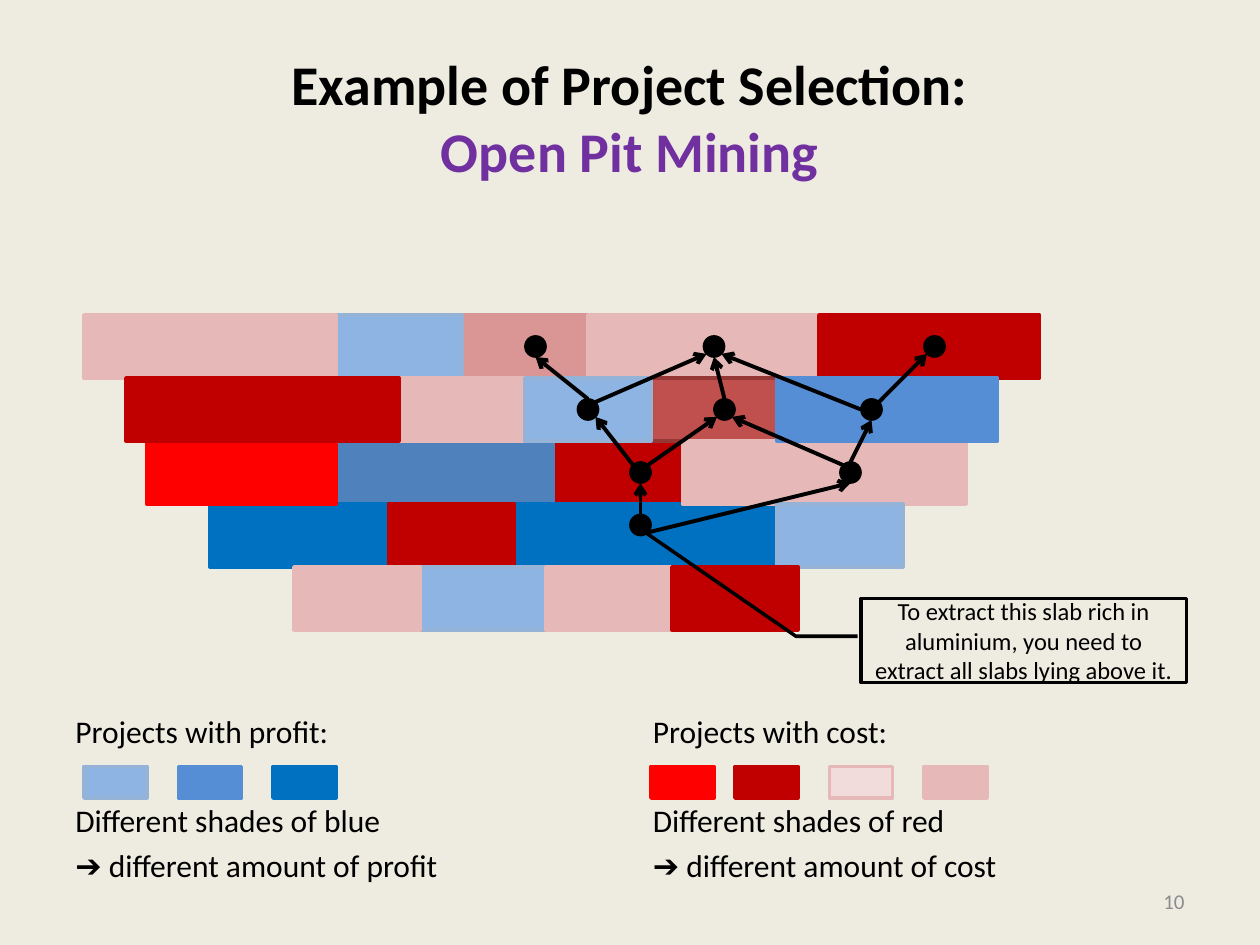
import math
from dataclasses import dataclass

import lxml.etree
import pptx
import pptx.dml.color
import pptx.enum.shapes
import pptx.enum.text
import pptx.oxml.ns
import pptx.util

Pt = pptx.util.Pt
Shape = pptx.enum.shapes.MSO_SHAPE
Align = pptx.enum.text.PP_ALIGN
Anchor = pptx.enum.text.MSO_ANCHOR


@dataclass(frozen=True)
class Theme:
    font: str = "Calibri"
    background: str = "EEECE1"
    ink: str = "000000"
    accent: str = "7030A0"
    muted: str = "8C8C8C"
    title_size: int = 32
    body_size: int = 18
    note_size: int = 14
    number_size: int = 12
    border: float = 2
    arrow: float = 2.25


SHADES = {
    "light blue": ("8EB4E3", "95B3D7"),
    "mid blue": ("558ED5", "558ED5"),
    "steel blue": ("4F81BD", "3A5F8C"),
    "deep blue": ("0070C0", "0070C0"),
    "red": ("FF0000", "FF0000"),
    "dark red": ("C00000", "C00000"),
    "brick": ("C0504D", "953735"),
    "rose": ("D99694", "D99694"),
    "pink": ("E6B9B8", "E6B9B8"),
    "pale pink": ("F2DCDB", "E6B9B8"),
}

PIT_TOP, SLAB_HEIGHT = 180, 36
SLABS = [
    (2, 192, 126, "steel blue"), (0, 264, 72, "rose"),
    (0, 336, 192, "pink"), (2, 318, 72, "dark red"),
    (0, 192, 72, "light blue"), (3, 120, 102, "deep blue"),
    (1, 372, 72, "brick"), (1, 228, 72, "pink"),
    (2, 84, 108, "red"), (3, 282, 162, "deep blue"),
    (1, 300, 72, "light blue"), (0, 48, 144, "pink"),
    (1, 72, 156, "dark red"), (0, 468, 126, "dark red"),
    (2, 390, 162, "pink"), (1, 444, 126, "mid blue"),
    (3, 222, 72, "dark red"), (3, 444, 72, "light blue"),
    (4, 240, 72, "light blue"), (4, 312, 72, "pink"),
    (4, 168, 72, "pink"), (4, 384, 72, "dark red"),
]

NODE_RADIUS = 6
NODES = {
    "ore": (366, 300),
    "third left": (366, 270), "third right": (486, 270),
    "second right": (498, 234), "second middle": (414, 234), "second left": (336, 198 + 36),
    "top left": (306, 198), "top middle": (408, 198), "top right": (534, 198),
}
NODES["second left"] = (336, 234)

SITES = ["top", "top left", "left", "bottom left", "bottom", "bottom right", "right", "top right"]
EDGES = [
    ("ore", "top", "third left", "bottom"),
    ("ore", "bottom right", "third right", "bottom"),
    ("second right", "top right", "top right", "bottom left"),
    ("second right", "left", "top middle", "bottom right"),
    ("second left", "top right", "top middle", "bottom left"),
    ("second left", "top", "top left", "bottom"),
    ("second middle", "top", "top middle", "bottom"),
    ("third right", "top", "second right", "bottom"),
    ("third right", "top left", "second middle", "bottom right"),
    ("third left", "top right", "second middle", "bottom left"),
    ("third left", "top left", "second left", "bottom right"),
]

LEGENDS = [
    (36, "profit", "blue", [(48, "light blue"), (102, "mid blue"), (156, "deep blue")]),
    (366, "cost", "red", [(372, "red"), (420, "dark red"), (474, "pale pink"), (528, "pink")]),
]


def color(value):
    return pptx.dml.color.RGBColor.from_string(value)


def write(paragraph, text, *, theme, size, fill=None, bold=False, align=Align.LEFT, before=0):
    paragraph.alignment = align
    paragraph.space_before = Pt(before)
    run = paragraph.add_run()
    run.text = text
    run.font.name = theme.font
    run.font.size = Pt(size)
    run.font.bold = bold
    run.font.color.rgb = color(fill or theme.ink)


def node_site(node, site):
    x, y = NODES[node]
    angle = math.radians(45 * SITES.index(site))
    return x - NODE_RADIUS * math.sin(angle), y - NODE_RADIUS * math.cos(angle)


class Painter:
    def __init__(self, slide, theme):
        self.slide = slide
        self.theme = theme
        slide.background.fill.solid()
        slide.background.fill.fore_color.rgb = color(theme.background)

    def text(self, left, top, width, height, anchor=Anchor.TOP):
        frame = self.slide.shapes.add_textbox(Pt(left), Pt(top), Pt(width), Pt(height)).text_frame
        frame.word_wrap = True
        frame.vertical_anchor = anchor
        frame.margin_top = frame.margin_bottom = 0
        return frame

    def shape(self, kind, left, top, width, height, fill, line, weight):
        shape = self.slide.shapes.add_shape(kind, Pt(left), Pt(top), Pt(width), Pt(height))
        shape.shadow.inherit = False
        shape.fill.solid()
        shape.fill.fore_color.rgb = color(fill)
        shape.line.color.rgb = color(line)
        shape.line.width = Pt(weight)
        return shape

    def slab(self, left, top, width, height, shade):
        self.shape(Shape.RECTANGLE, left, top, width, height, *SHADES[shade], self.theme.border)

    def node(self, x, y):
        ink = self.theme.ink
        self.shape(Shape.OVAL, x - NODE_RADIUS, y - NODE_RADIUS,
                   2 * NODE_RADIUS, 2 * NODE_RADIUS, ink, ink, 1)

    def arrow(self, start, end):
        connector = self.slide.shapes.add_connector(
            pptx.enum.shapes.MSO_CONNECTOR.STRAIGHT, *(Pt(value) for value in (*start, *end)))
        connector.line.color.rgb = color(self.theme.ink)
        connector.line.width = Pt(self.theme.arrow)
        name = pptx.oxml.ns.qn
        lxml.etree.SubElement(connector.line._get_or_add_ln(), name("a:tailEnd"), type="arrow")
        lxml.etree.SubElement(connector._element.spPr, name("a:effectLst"))

    def callout(self, left, top, width, height, bends, text):
        theme = self.theme
        shape = self.shape(Shape.LINE_CALLOUT_2, left, top, width, height,
                           theme.background, theme.ink, theme.border)
        for index, bend in enumerate(bends):
            shape.adjustments[index] = bend
        shape.text_frame.word_wrap = True
        shape.text_frame.vertical_anchor = Anchor.MIDDLE
        write(shape.text_frame.paragraphs[0], text, theme=theme,
              size=theme.note_size, align=Align.CENTER)


def main():
    theme = Theme()
    presentation = pptx.Presentation()
    presentation.slide_width, presentation.slide_height = Pt(720), Pt(540)
    painter = Painter(presentation.slides.add_slide(presentation.slide_layouts[6]), theme)

    title = painter.text(36, 21.6, 648, 90, Anchor.MIDDLE).paragraphs[0]
    heading = dict(theme=theme, size=theme.title_size, bold=True, align=Align.CENTER)
    write(title, "Example of Project Selection:", **heading)
    title.add_line_break()
    write(title, "Open Pit Mining", fill=theme.accent, **heading)

    for left, measure, hue, swatches in LEGENDS:
        body = dict(theme=theme, size=theme.body_size)
        write(painter.text(left, 407, 318, 22).paragraphs[0], f"Projects with {measure}:", **body)
        frame = painter.text(left, 458, 318, 48)
        write(frame.paragraphs[0], f"Different shades of {hue}", **body)
        write(frame.add_paragraph(), f"➔ different amount of {measure}", before=3.6, **body)
        for swatch_left, shade in swatches:
            painter.slab(swatch_left, 438, 36, 18, shade)

    number = painter.text(516, 500.5, 168, 29, Anchor.MIDDLE).paragraphs[0]
    write(number, "10", theme=theme, size=theme.number_size, fill=theme.muted, align=Align.RIGHT)

    for row, left, width, shade in SLABS:
        painter.slab(left, PIT_TOP + row * SLAB_HEIGHT, width, SLAB_HEIGHT, shade)
    for center in NODES.values():
        painter.node(*center)
    for source, source_site, target, target_site in EDGES:
        painter.arrow(node_site(source, source_site), node_site(target, target_site))

    painter.callout(492, 342, 186, 48, (0.45, -0.01, 0.45, -0.2, -0.78, -0.66),
                    "To extract this slab rich in aluminium, "
                    "you need to extract all slabs lying above it.")
    presentation.save("out.pptx")


if __name__ == "__main__":
    main()
